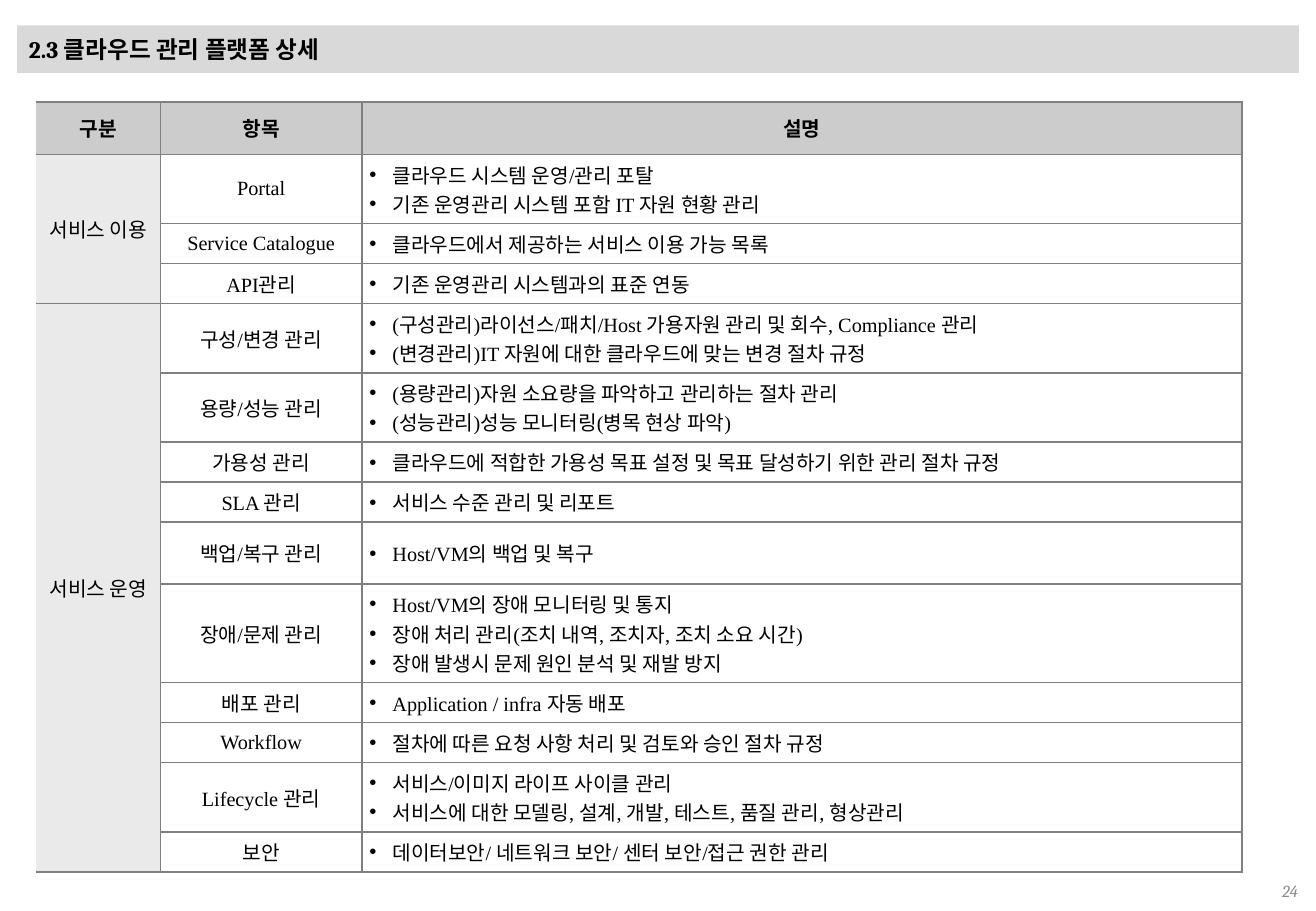
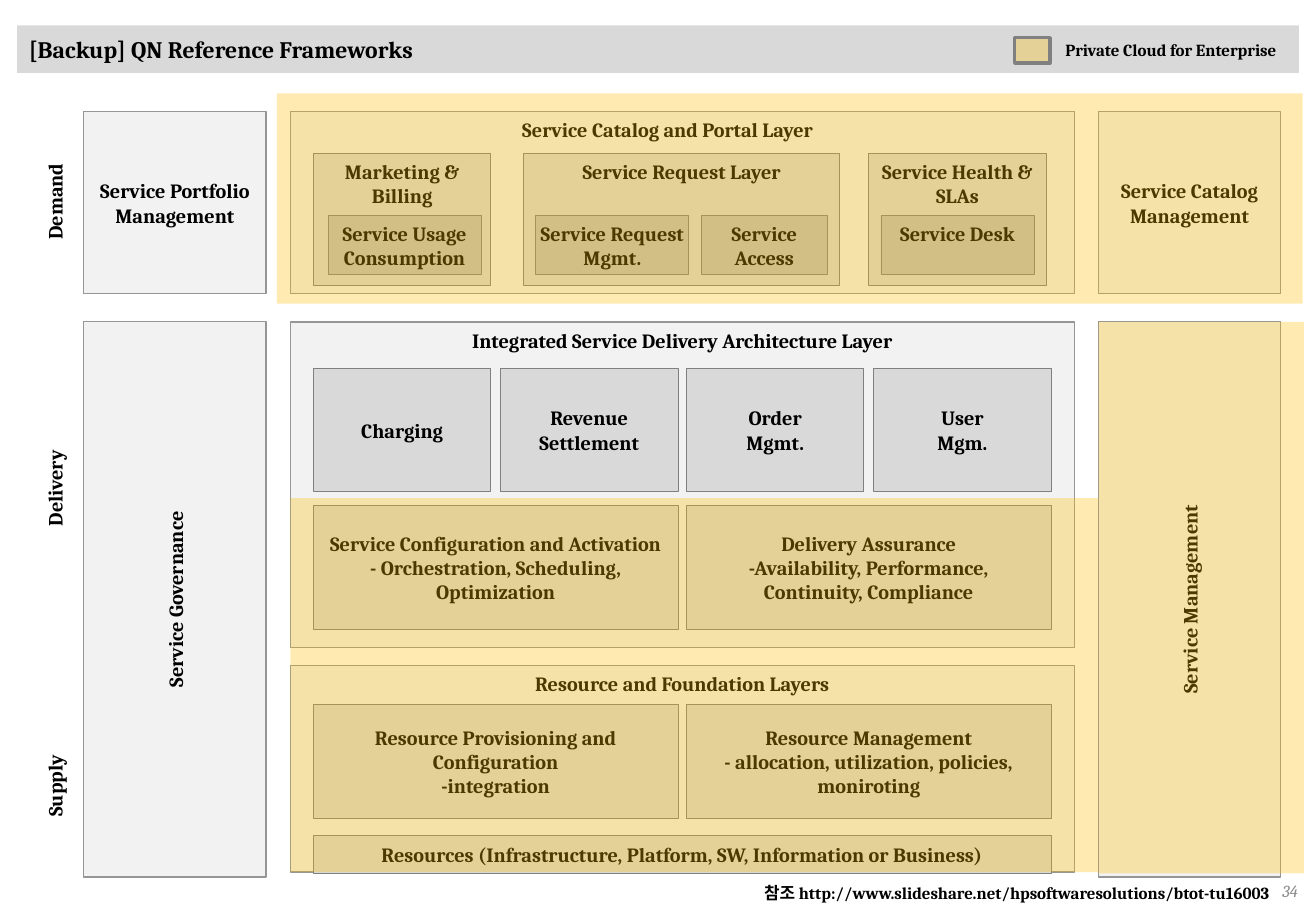
from lxml import etree
from pptx import Presentation
from pptx import util as u
from pptx.dml.color import RGBColor
from pptx.enum import shapes, text
from pptx.oxml.ns import qn

PX = 9144  # 100 px to the inch
COLORS = {
    "ink": "000000", "page": "8C8C8C", "band": "D9D9D9", "white": "FFFFFF",
    "head": "CCCCCC", "group": "EAEAEA", "rule": "808080",
    "panel": "F2F2F2", "panel_line": "969696",
    "block": "D9D9D9", "inner": "BFBFBF", "highlight": "FFC000",
}
SERIF, TABLE_FONT = "Cambria", "Times New Roman"
ALIGN = {"l": text.PP_ALIGN.LEFT, "c": text.PP_ALIGN.CENTER, "r": text.PP_ALIGN.RIGHT}
ANCHOR = {"t": text.MSO_ANCHOR.TOP, "m": text.MSO_ANCHOR.MIDDLE}

COLUMNS = [102, 166, 724]
HEADINGS = ["구분", "항목", "설명"]
HEADING_HEIGHT = 43
# group -> rows of (item, row height, descriptions)
SERVICES = {
    "서비스 이용": [
        ("Portal", 57, ["클라우드 시스템 운영/관리 포탈",
                        "기존 운영관리 시스템 포함 IT 자원 현황 관리"]),
        ("Service Catalogue", 33, ["클라우드에서 제공하는 서비스 이용 가능 목록"]),
        ("API관리", 33, ["기존 운영관리 시스템과의 표준 연동"]),
    ],
    "서비스 운영": [
        ("구성/변경 관리", 57, ["(구성관리)라이선스/패치/Host 가용자원 관리 및 회수, Compliance 관리",
                          "(변경관리)IT 자원에 대한 클라우드에 맞는 변경 절차 규정"]),
        ("용량/성능 관리", 57, ["(용량관리)자원 소요량을 파악하고 관리하는 절차 관리",
                          "(성능관리)성능 모니터링(병목 현상 파악)"]),
        ("가용성 관리", 33, ["클라우드에 적합한 가용성 목표 설정 및 목표 달성하기 위한 관리 절차 규정"]),
        ("SLA 관리", 33, ["서비스 수준 관리 및 리포트"]),
        ("백업/복구 관리", 51, ["Host/VM의 백업 및 복구"]),
        ("장애/문제 관리", 81, ["Host/VM의 장애 모니터링 및 통지",
                          "장애 처리 관리(조치 내역, 조치자, 조치 소요 시간)",
                          "장애 발생시 문제 원인 분석 및 재발 방지"]),
        ("배포 관리", 33, ["Application / infra 자동 배포"]),
        ("Workflow", 33, ["절차에 따른 요청 사항 처리 및 검토와 승인 절차 규정"]),
        ("Lifecycle 관리", 57, ["서비스/이미지 라이프 사이클 관리",
                            "서비스에 대한 모델링, 설계, 개발, 테스트, 품질 관리, 형상관리"]),
        ("보안", 33, ["데이터보안/ 네트워크 보안/ 센터 보안/접근 권한 관리"]),
    ],
}


def px(n):
    return u.Emu(int(n * PX))


def rgb(name):
    return RGBColor.from_string(COLORS[name])


def add_bullet(paragraph, indent=19):
    props = paragraph._p.get_or_add_pPr()
    props.set("marL", str(px(indent)))
    props.set("indent", str(-px(indent)))
    etree.SubElement(props, qn("a:buFont")).set("typeface", "Arial")
    etree.SubElement(props, qn("a:buChar")).set("char", "•")


def write(frame, lines, size=12, font=SERIF, color="ink", bold=True, italic=False,
          align="c", bullet=False):
    """Fill a text frame, one paragraph per line."""
    for i, line in enumerate(lines):
        paragraph = frame.paragraphs[0] if i == 0 else frame.add_paragraph()
        if bullet:
            add_bullet(paragraph)
        paragraph.alignment = ALIGN[align]
        run = paragraph.add_run()
        run.text = line
        run.font.size, run.font.name = u.Pt(size), font
        run.font.bold, run.font.italic = bold, italic
        run.font.color.rgb = rgb(color)


def label(slide, box, line, rotation=0, wrap=True, anchor="t", **fmt):
    holder = slide.shapes.add_textbox(*map(px, box))
    holder.rotation = rotation
    holder.text_frame.word_wrap = wrap
    holder.text_frame.vertical_anchor = ANCHOR[anchor]
    write(holder.text_frame, [line], **fmt)


def rect(slide, box, lines=(), fill="block", line=None, width=0.5, alpha=None,
         anchor="m", wrap=True, side=10, upward=False, **fmt):
    shape = slide.shapes.add_shape(shapes.MSO_SHAPE.RECTANGLE, *map(px, box))
    shape.shadow.inherit = False
    shape.fill.solid()
    shape.fill.fore_color.rgb = rgb(fill)
    if alpha:
        tint = shape._element.spPr.find(qn("a:solidFill")).find(qn("a:srgbClr"))
        etree.SubElement(tint, qn("a:alpha")).set("val", str(alpha * 1000))
    if line:
        shape.line.color.rgb = rgb(line)
        shape.line.width = u.Pt(width)
    else:
        shape.line.fill.background()
    frame = shape.text_frame
    frame.word_wrap = wrap
    frame.vertical_anchor = ANCHOR[anchor]
    frame.margin_left = frame.margin_right = px(side)
    if upward:
        frame._txBody.bodyPr.set("vert", "vert270")
    write(frame, lines, **fmt)


def panel(slide, box, *lines, **fmt):
    rect(slide, box, lines, fill="panel", line="panel_line", width=0.75,
         wrap=False, side=9, **fmt)


def block(slide, box, *lines, **fmt):
    rect(slide, box, lines, line="rule", **fmt)


def block_row(slide, top, height, blocks, left=258, width=607, gap=7):
    """Equal blocks that together span the width."""
    n = len(blocks)
    each = (width - gap * (n - 1)) // n
    for i, lines in enumerate(blocks):
        shift = round(i * (width - each) / (n - 1)) if n > 1 else 0
        block(slide, (left + shift, top, each, height), *lines)


def highlight(slide, box, **fmt):
    rect(slide, box, fill="highlight", alpha=30, **fmt)


def new_slide(deck, title, page):
    slide = deck.slides.add_slide(deck.slide_layouts[6])
    label(slide, (825, 721, 253, 24), page, size=10, color="page", bold=False,
          italic=True, align="r", anchor="m")
    rect(slide, (14, 21, 1055, 39), [title], fill="band", size=14, align="l")
    return slide


def style_cell(cell, lines, fill="white", open_left=False, **fmt):
    props = cell._tc.get_or_add_tcPr()
    for side in ("lnL", "lnR", "lnT", "lnB"):
        border = etree.SubElement(props, qn("a:" + side), w=str(u.Pt(1)))
        if side == "lnL" and open_left:
            etree.SubElement(border, qn("a:noFill"))
        else:
            paint = etree.SubElement(border, qn("a:solidFill"))
            etree.SubElement(paint, qn("a:srgbClr")).set("val", COLORS["rule"])
    cell.fill.solid()
    cell.fill.fore_color.rgb = rgb(fill)
    cell.vertical_anchor = ANCHOR["m"]
    cell.margin_left = cell.margin_right = px(6)
    cell.margin_top = cell.margin_bottom = px(4)
    write(cell.text_frame, lines, font=TABLE_FONT, **fmt)


def service_table(slide):
    heights = [HEADING_HEIGHT] + [h for rows in SERVICES.values() for _, h, _ in rows]
    table = slide.shapes.add_table(len(heights), len(COLUMNS), px(30), px(84),
                                   px(sum(COLUMNS)), px(sum(heights))).table
    table.first_row = table.horz_banding = False
    for column, width in zip(table.columns, COLUMNS):
        column.width = px(width)
    for row, height in zip(table.rows, heights):
        row.height = px(height)

    for c, heading in enumerate(HEADINGS):
        style_cell(table.cell(0, c), [heading], fill="head", open_left=c == 0)
    r = 1
    for group, rows in SERVICES.items():
        table.cell(r, 0).merge(table.cell(r + len(rows) - 1, 0))
        for i, (item, _, descriptions) in enumerate(rows):
            style_cell(table.cell(r, 0), [group] if i == 0 else [], fill="group",
                       open_left=True, bold=False)
            style_cell(table.cell(r, 1), [item], bold=False)
            style_cell(table.cell(r, 2), descriptions, bold=False, align="l", bullet=True)
            r += 1


def framework(slide):
    label(slide, (30, 722, 1024, 27),
          "참조 http://www.slideshare.net/hpsoftwaresolutions/btot-tu16003",
          size=10, align="r")

    # Stages down the left edge
    for stage, top in (("Demand", 151), ("Delivery", 387), ("Supply", 632)):
        label(slide, (-30, top, 150, 30), stage, rotation=270)

    # Side columns and middle layers
    for left, top_name, tall_name in ((69, "Service Portfolio", "Service Governance"),
                                      (904, "Service Catalog", "Service Management")):
        panel(slide, (left, 92, 150, 150), top_name, "Management")
        panel(slide, (left, 265, 150, 457), tall_name, upward=True)
    panel(slide, (239, 92, 645, 150))
    label(slide, (384, 92, 331, 30), "Service Catalog and Portal Layer")
    panel(slide, (239, 265, 645, 268), "Integrated Service Delivery Architecture Layer",
          anchor="t")
    panel(slide, (239, 548, 645, 170), "Resource and Foundation Layers", anchor="t")

    # Demand: blocks with inner services
    for left, width, name in ((258, 146, "Marketing & Billing"),
                              (431, 260, "Service Request Layer"),
                              (715, 146, "Service Health & SLAs")):
        block(slide, (left, 126, width, 109), name, anchor="t")
    for left, width, side, lines in ((270, 126, 10, ["Service Usage", "Consumption"]),
                                     (441, 126, 0, ["Service Request Mgmt."]),
                                     (577, 104, 10, ["Service Access"]),
                                     (725, 126, 10, ["Service Desk"])):
        block(slide, (left, 177, width, 49), *lines, fill="inner", anchor="t", side=side)

    # Delivery and supply
    block_row(slide, 303, 102, [["Charging"], ["Revenue", "Settlement"],
                                ["Order", "Mgmt."], ["User", "Mgm."]])
    block_row(slide, 416, 102, [
        ["Service Configuration and Activation", "- Orchestration, Scheduling, Optimization"],
        ["Delivery Assurance", "-Availability, Performance, Continuity, Compliance"]])
    block_row(slide, 580, 94, [
        ["Resource Provisioning and Configuration", "-integration"],
        ["Resource Management", "- allocation, utilization, policies, moniroting"]])
    block_row(slide, 688, 31, [
        ["Resources (Infrastructure, Platform, SW, Information or Business)"]])

    # Private cloud scope and its legend
    for scope in ((228, 77, 844, 173), (239, 410, 665, 308), (904, 265, 169, 454)):
        highlight(slide, scope)
    highlight(slide, (835, 31, 29, 21), line="rule", width=2)
    label(slide, (863, 28, 201, 27), "Private Cloud for Enterprise", size=10, wrap=False)


def main():
    deck = Presentation()
    deck.slide_width, deck.slide_height = px(1083), px(750)
    service_table(new_slide(deck, "2.3 클라우드 관리 플랫폼 상세", "24"))
    framework(new_slide(deck, "[Backup] QN Reference Frameworks", "34"))
    deck.save("out.pptx")


if __name__ == "__main__":
    main()
